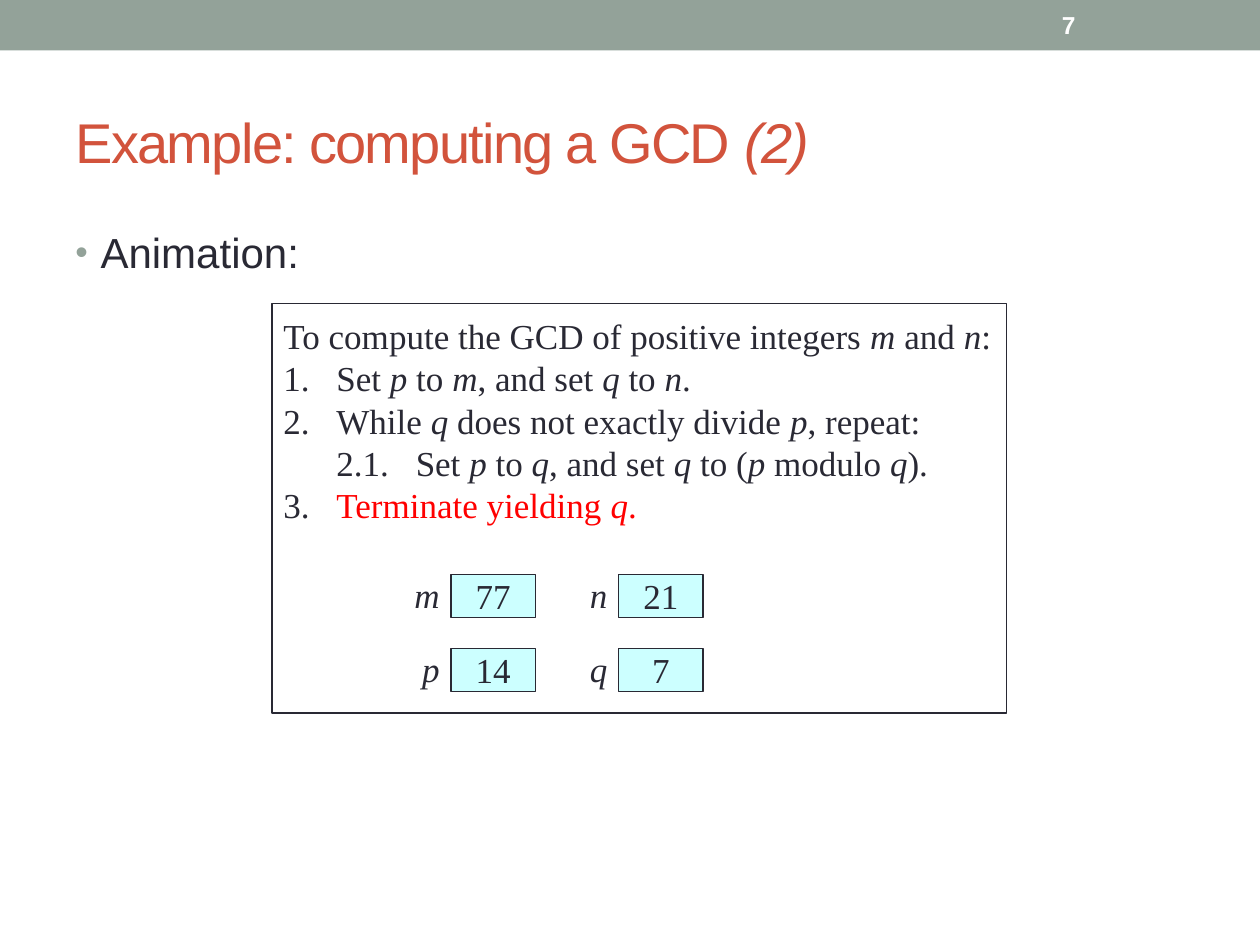
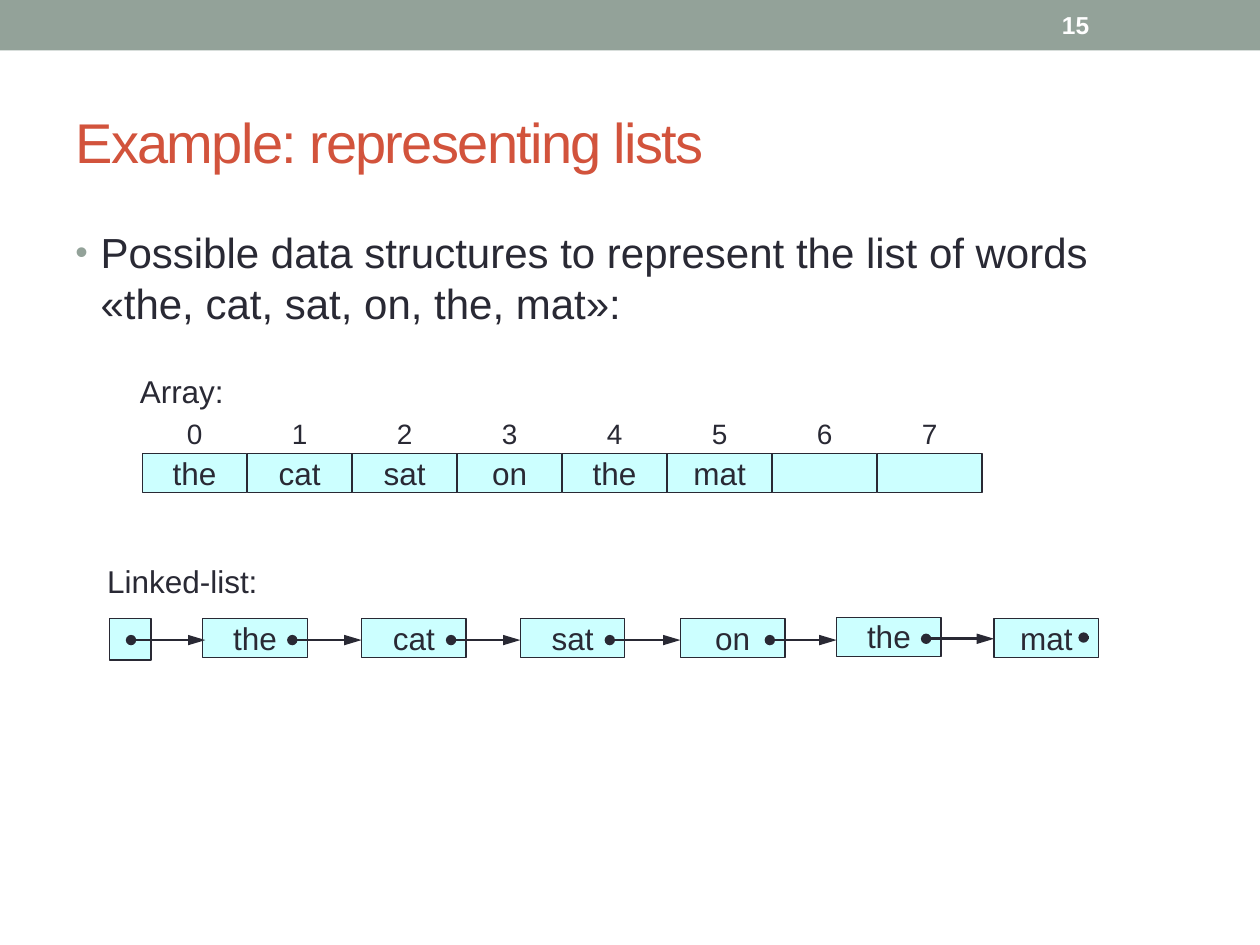
from lxml import etree
from pptx import Presentation
from pptx.dml.color import RGBColor
from pptx.enum.shapes import MSO_CONNECTOR as Connector, MSO_SHAPE as Shape
from pptx.enum.text import MSO_ANCHOR as Anchor, PP_ALIGN as Align
from pptx.oxml.ns import qn
from pptx.util import Inches, Pt

COLORS = {"band": "93A299", "title": "D2533C", "ink": "292934",
          "cell": "CCFFFF", "white": "FFFFFF", "active": "FF0000"}
SANS, SERIF = "Arial", "Times New Roman"
LINE_HEIGHT = 1.2
CELL_WIDTH, CELL_HEIGHT = 0.83, 0.31
WORDS = ["the", "cat", "sat", "on", "the", "mat"]

# Algorithm lines: variables stand between asterisks
ALGORITHM = [
    ("To compute the GCD of positive integers *m* and *n*:", "ink"),
    ("1.\tSet *p* to *m*, and set *q* to *n*.", "ink"),
    ("2.\tWhile *q* does not exactly divide *p*, repeat:", "ink"),
    ("\t2.1.\tSet *p* to *q*, and set *q* to (*p* modulo *q*).", "ink"),
]
LAST_STEP = [("3.\t", "ink"), ("Terminate yielding *q*.", "active")]


def rgb(name):
    return RGBColor.from_string(COLORS[name])


def add_element(parent, tag, **attributes):
    return etree.SubElement(parent, qn(tag), attributes)


def add_spans(para, text, size, font=SANS, color="ink", bold=False):
    """Add runs to a paragraph; parts between asterisks are italic."""
    para.line_spacing = Pt(round(size * LINE_HEIGHT, 1))
    for index, part in enumerate(text.split("*")):
        if part:
            span = para.add_run()
            span.text = part
            span.font.name, span.font.size = font, Pt(size)
            span.font.color.rgb = rgb(color)
            span.font.bold = bold
            span.font.italic = index % 2 == 1


def prepare_frame(frame, margin=0, anchor=Anchor.TOP):
    frame.word_wrap = True
    frame.vertical_anchor = anchor
    frame.margin_left = frame.margin_right = Inches(margin)
    frame.margin_top = frame.margin_bottom = Inches(margin / 2)
    return frame


def add_text(page, place, text, size, font=SANS, align=Align.LEFT):
    box = page.shapes.add_textbox(*map(Inches, place))
    para = prepare_frame(box.text_frame).paragraphs[0]
    para.alignment = align
    add_spans(para, text, size, font)


def add_rect(page, place, fill, line=None):
    rect = page.shapes.add_shape(Shape.RECTANGLE, *map(Inches, place))
    rect.shadow.inherit = False
    rect.fill.solid()
    rect.fill.fore_color.rgb = rgb(fill)
    if line:
        rect.line.color.rgb = rgb(line)
        rect.line.width = Pt(0.75)
    else:
        rect.line.fill.background()
    return rect


def add_cell(page, place, text="", size=18, font=SANS):
    cell = add_rect(page, place, "cell", "ink")
    if text:
        para = prepare_frame(cell.text_frame).paragraphs[0]
        para.alignment = Align.CENTER
        add_spans(para, text, size, font)


def add_pointer(page, left, right, y, arrow=True):
    """Draw a link that starts with a dot and may end with an arrowhead."""
    link = page.shapes.add_connector(
        Connector.STRAIGHT, Inches(left), Inches(y), Inches(right), Inches(y))
    link.line.color.rgb = rgb("ink")
    link.line.width = Pt(1.5)
    line = link.line._get_or_add_ln()
    add_element(line, "a:headEnd", type="oval")
    if arrow:
        add_element(line, "a:tailEnd", type="triangle", w="med", len="lg")
    add_element(link._element.spPr, "a:effectLst")


def add_page(deck, title, number, bullet):
    """Add a page with its band, page number, title and one bullet."""
    page = deck.slides.add_slide(deck.slide_layouts[5])
    add_rect(page, (0, 0, 10, 0.4), "band")

    heading = page.shapes.title
    heading.left, heading.top = Inches(0.5), Inches(0.58)
    heading.width, heading.height = Inches(9), Inches(1.08)
    para = prepare_frame(heading.text_frame, 0.1, Anchor.MIDDLE).paragraphs[0]
    para.alignment = Align.LEFT
    add_spans(para, title, 32, color="title")
    for span in para.runs:
        span.font._element.set("spc", "-100")

    box = page.shapes.add_textbox(*map(Inches, (0.5, 1.75, 9, 5.33)))
    para = prepare_frame(box.text_frame, 0.1).paragraphs[0]
    add_spans(para, bullet, 24)
    props = para._p.get_or_add_pPr()
    props.set("marL", str(Inches(0.2)))
    props.set("indent", str(Inches(-0.2)))
    color = add_element(props, "a:buClr")
    add_element(color, "a:srgbClr", val=COLORS["band"])
    add_element(props, "a:buSzPct", val="85000")
    add_element(props, "a:buFont", typeface=SANS)
    add_element(props, "a:buChar", char="•")

    box = page.shapes.add_textbox(*map(Inches, (8.33, 0.02, 1.17, 0.36)))
    para = prepare_frame(box.text_frame, 0.1, Anchor.MIDDLE).paragraphs[0]
    add_spans(para, str(number), 14, color="white", bold=True)
    return page


def add_algorithm(page):
    box = page.shapes.add_textbox(*map(Inches, (2.25, 2.5, 5.67, 1.67)))
    frame = prepare_frame(box.text_frame)
    lines = [[line] for line in ALGORITHM] + [LAST_STEP]
    for index, parts in enumerate(lines):
        para = frame.add_paragraph() if index else frame.paragraphs[0]
        for text, color in parts:
            add_spans(para, text, 20, SERIF, color)
        tabs = add_element(para._p.get_or_add_pPr(), "a:tabLst")
        for stop in (0.42, 1.05):
            add_element(tabs, "a:tab", pos=str(Inches(stop)), algn="l")


def add_variables(page):
    rows = [(4.56, [("m", 77), ("n", 21)]), (5.15, [("p", 14), ("q", 7)])]
    for top, variables in rows:
        for left, (name, value) in zip((3.58, 4.91), variables):
            add_text(page, (left - 0.42, top - 0.01, 0.33, 0.33),
                     f"*{name}*", 20, SERIF, Align.RIGHT)
            add_cell(page, (left, top, 0.67, 0.34), str(value), 20, SERIF)


def add_array(page):
    add_text(page, (1.11, 2.95, 1.33, 0.3), "Array:", 18)
    for index, word in enumerate(WORDS + ["", ""]):
        left = 1.13 + index * 5 / 6
        add_text(page, (left, 3.31, CELL_WIDTH, 0.27), str(index), 16,
                 align=Align.CENTER)
        add_cell(page, (left, 3.6, CELL_WIDTH, CELL_HEIGHT), word)


def add_linked_list(page):
    add_text(page, (0.85, 4.46, 1.33, 0.3), "Linked-list:", 18)
    lefts = [1.61, 2.87, 4.13, 5.4, 6.64, 7.89]
    tops = [4.91, 4.91, 4.91, 4.91, 4.9, 4.91]
    add_cell(page, (0.87, 4.91, 0.33, 0.33))
    for left, top, word in zip(lefts, tops, WORDS):
        add_cell(page, (left, top, CELL_WIDTH, CELL_HEIGHT), word)
    add_pointer(page, 1.04, lefts[0] + 0.02, 5.08)
    for left, top, target in zip(lefts, tops, lefts[1:]):
        add_pointer(page, left + 0.71, target, top + 0.17)
    add_pointer(page, 8.6, 8.64, 5.06, arrow=False)


def main():
    deck = Presentation()
    deck.slide_width, deck.slide_height = Inches(10), Inches(7.5)

    page = add_page(deck, "Example: computing a GCD *(2)*", 7, "Animation:")
    add_rect(page, (2.16, 2.41, 5.83, 3.25), "white", "ink")
    add_algorithm(page)
    add_variables(page)

    page = add_page(deck, "Example: representing lists", 15,
                    "Possible data structures to represent the list of words "
                    "«the, cat, sat, on, the, mat»:")
    add_array(page)
    add_linked_list(page)

    deck.save("out.pptx")


if __name__ == "__main__":
    main()
